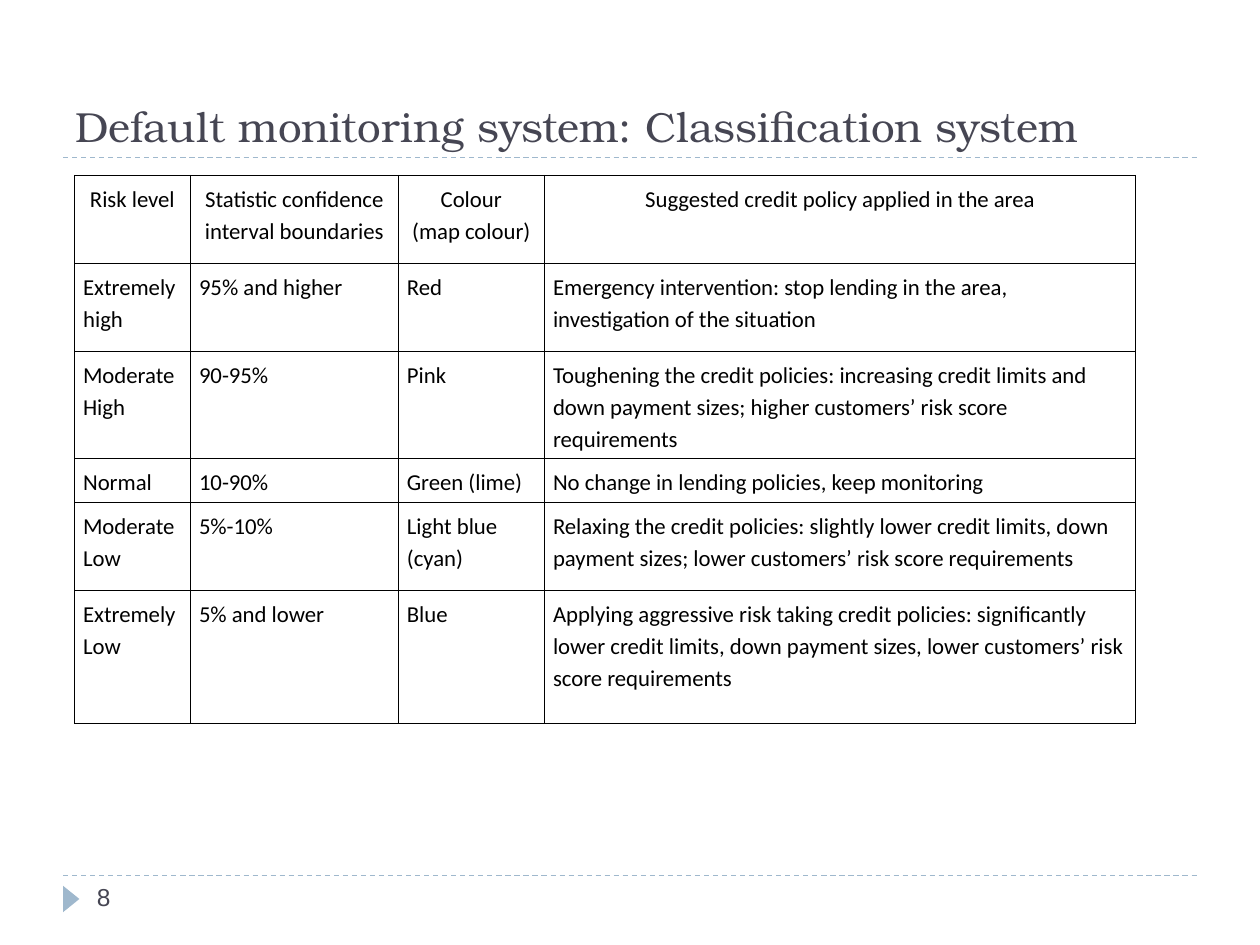
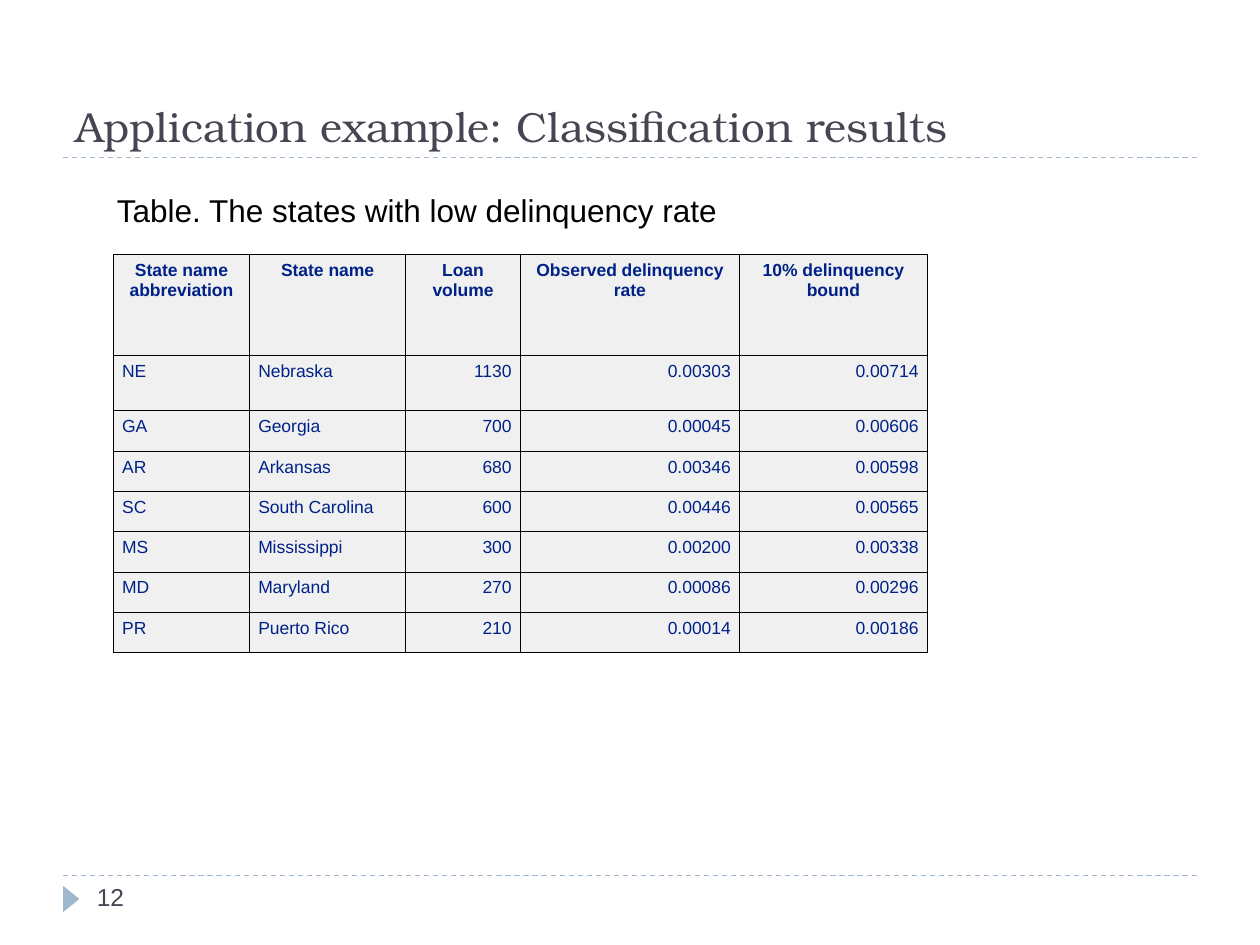
from dataclasses import dataclass

from lxml.etree import SubElement
from pptx import Presentation
from pptx.dml.color import RGBColor
from pptx.enum.dml import MSO_LINE_DASH_STYLE as Dash
from pptx.enum.shapes import MSO_CONNECTOR, MSO_SHAPE
from pptx.enum.text import MSO_ANCHOR as Anchor, PP_ALIGN as Align
from pptx.oxml.ns import qn
from pptx.slide import Slide
from pptx.table import _Cell as Cell
from pptx.text.text import TextFrame
from pptx.util import Inches, Pt

ACCENT = "9FB8CD"
HEADING = "464653"
BLACK = "000000"
NAVY = "002288"
LIGHT_GREY = "F0F0F0"


@dataclass(frozen=True)
class TextStyle:
    font: str
    size: float
    color: str
    line_spacing: float = 1.0
    space_after: float = 0


@dataclass(frozen=True)
class TableSpec:
    left: float
    top: float
    column_widths: list[float]
    row_heights: list[float]
    rows: list[list[str]]
    style: TextStyle
    border_width: float
    body_alignments: list[Align]
    bold_header: bool = False
    fill: str | None = None


TITLE = TextStyle("TeX Gyre Bonum", 24, HEADING)
PAGE_NUMBER = TextStyle("Arial", 14, HEADING)
CAPTION = TextStyle("Arial", 18, BLACK)

POLICY_TABLE = TableSpec(
    left=0.59,
    top=1.39,
    column_widths=[0.92, 1.65, 1.16, 4.69],
    row_heights=[0.7, 0.7, 0.75, 0.35, 0.7, 1.05],
    rows=[
        ["Risk level", "Statistic confidence interval boundaries", "Colour\n(map colour)",
         "Suggested credit policy applied in the area"],
        ["Extremely high", "95% and higher", "Red",
         "Emergency intervention: stop lending in the area, investigation of the situation"],
        ["Moderate High", "90-95%", "Pink",
         "Toughening the credit policies: increasing credit limits and down payment sizes; "
         "higher customers’ risk score requirements"],
        ["Normal", "10-90%", "Green (lime)", "No change in lending policies, keep monitoring"],
        ["Moderate Low", "5%-10%", "Light blue (cyan)",
         "Relaxing the credit policies: slightly lower credit limits, down payment sizes; "
         "lower customers’ risk score requirements"],
        ["Extremely Low", "5% and lower", "Blue",
         "Applying aggressive risk taking credit policies: significantly lower credit limits, "
         "down payment sizes, lower customers’ risk score requirements"],
    ],
    style=TextStyle("Calibri", 13, BLACK, line_spacing=1.15, space_after=10),
    border_width=0.45,
    body_alignments=[Align.LEFT] * 4,
)

STATES_TABLE = TableSpec(
    left=0.9,
    top=2.02,
    column_widths=[1.08, 1.24, 0.91, 1.74, 1.49],
    row_heights=[0.8, 0.44] + [0.32] * 6,
    rows=[
        ["State name\nabbreviation", "State name", "Loan volume",
         "Observed delinquency\nrate", "10% delinquency\nbound"],
        ["NE", "Nebraska", "1130", "0.00303", "0.00714"],
        ["GA", "Georgia", "700", "0.00045", "0.00606"],
        ["AR", "Arkansas", "680", "0.00346", "0.00598"],
        ["SC", "South Carolina", "600", "0.00446", "0.00565"],
        ["MS", "Mississippi", "300", "0.00200", "0.00338"],
        ["MD", "Maryland", "270", "0.00086", "0.00296"],
        ["PR", "Puerto Rico", "210", "0.00014", "0.00186"],
    ],
    style=TextStyle("Arial", 10, NAVY),
    border_width=0.34,
    body_alignments=[Align.LEFT] * 2 + [Align.RIGHT] * 3,
    bold_header=True,
    fill=LIGHT_GREY,
)


def rgb(color: str) -> RGBColor:
    return RGBColor.from_string(color)


def write_text(frame: TextFrame, text: str, style: TextStyle,
               alignment: Align = Align.LEFT, bold: bool = False) -> None:
    frame.word_wrap = True
    paragraph = frame.paragraphs[0]
    paragraph.alignment = alignment
    paragraph.line_spacing = style.line_spacing
    paragraph.space_after = Pt(style.space_after)
    for index, line in enumerate(text.split("\n")):
        if index:
            paragraph.add_line_break()
        run = paragraph.add_run()
        run.text = line
        run.font.name = style.font
        run.font.size = Pt(style.size)
        run.font.bold = bold
        run.font.color.rgb = rgb(style.color)


def add_text(slide: Slide, left: float, top: float, width: float, height: float,
             text: str, style: TextStyle, anchor: Anchor = Anchor.TOP) -> None:
    box = slide.shapes.add_textbox(Inches(left), Inches(top), Inches(width), Inches(height))
    box.text_frame.vertical_anchor = anchor
    write_text(box.text_frame, text, style)


def add_dashed_rule(slide: Slide, y: float) -> None:
    rule = slide.shapes.add_connector(
        MSO_CONNECTOR.STRAIGHT, Inches(0.5), Inches(y), Inches(9.5), Inches(y))
    rule.line.color.rgb = rgb(ACCENT)
    rule.line.width = Pt(0.75)
    rule.line.dash_style = Dash.DASH
    SubElement(rule._element.spPr, qn("a:effectLst"))


def add_page_marker(slide: Slide) -> None:
    marker = slide.shapes.add_shape(
        MSO_SHAPE.ISOSCELES_TRIANGLE, Inches(0.46), Inches(7.07), Inches(0.21), Inches(0.13))
    marker.rotation = 90
    marker.shadow.inherit = False
    marker.fill.solid()
    marker.fill.fore_color.rgb = rgb(ACCENT)
    marker.line.fill.background()


def add_framed_slide(presentation: Presentation, title: str, number: int) -> Slide:
    slide = presentation.slides.add_slide(presentation.slide_layouts[6])
    for y in (6.95, 1.25):
        add_dashed_rule(slide, y)
    add_page_marker(slide)
    add_text(slide, 0.5, 0.17, 9, 1.08, title, TITLE, Anchor.BOTTOM)
    add_text(slide, 0.67, 6.95, 2.17, 0.4, str(number), PAGE_NUMBER)
    return slide


def set_borders(cell: Cell, width: float) -> None:
    properties = cell._tc.get_or_add_tcPr()
    for side in ("lnL", "lnR", "lnT", "lnB"):
        border = SubElement(properties, qn(f"a:{side}"), w=str(Pt(width)))
        fill = SubElement(border, qn("a:solidFill"))
        SubElement(fill, qn("a:srgbClr"), val=BLACK)


def format_cell(cell: Cell, spec: TableSpec) -> None:
    cell.margin_left = cell.margin_right = Inches(0.07)
    cell.margin_top = cell.margin_bottom = Inches(0.05)
    set_borders(cell, spec.border_width)
    if spec.fill:
        cell.fill.solid()
        cell.fill.fore_color.rgb = rgb(spec.fill)
    else:
        cell.fill.background()


def add_data_table(slide: Slide, spec: TableSpec) -> None:
    frame = slide.shapes.add_table(
        len(spec.rows), len(spec.column_widths), Inches(spec.left), Inches(spec.top),
        Inches(sum(spec.column_widths)), Inches(sum(spec.row_heights)))
    table = frame.table
    table.first_row = table.horz_banding = False
    for column, width in zip(table.columns, spec.column_widths):
        column.width = Inches(width)
    for row, height in zip(table.rows, spec.row_heights):
        row.height = Inches(height)
    for row_index, values in enumerate(spec.rows):
        is_header = row_index == 0
        for column_index, value in enumerate(values):
            cell = table.cell(row_index, column_index)
            format_cell(cell, spec)
            alignment = Align.CENTER if is_header else spec.body_alignments[column_index]
            write_text(cell.text_frame, value, spec.style, alignment,
                       is_header and spec.bold_header)


def main() -> None:
    presentation = Presentation()
    presentation.slide_width = Inches(10)
    presentation.slide_height = Inches(7.5)

    policy_slide = add_framed_slide(
        presentation, "Default monitoring system: Classification system", 8)
    add_data_table(policy_slide, POLICY_TABLE)

    states_slide = add_framed_slide(
        presentation, "Application example: Classification results", 12)
    add_text(states_slide, 0.83, 1.47, 8.11, 0.4,
             "Table. The states with low delinquency rate", CAPTION)
    add_data_table(states_slide, STATES_TABLE)

    presentation.save("out.pptx")


if __name__ == "__main__":
    main()
